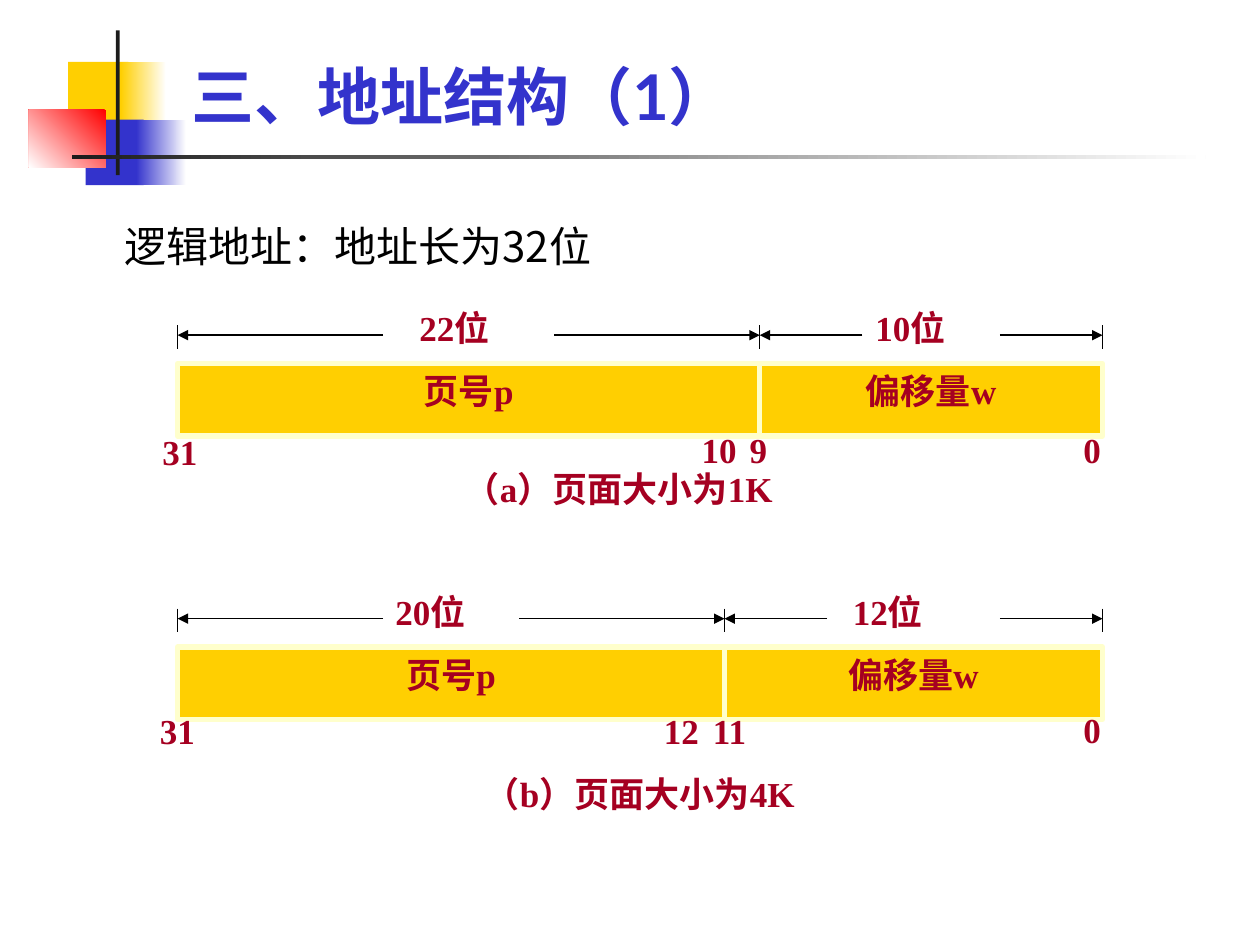
from dataclasses import dataclass

from lxml import etree
from pptx import Presentation
from pptx import util as u
from pptx.dml import color
from pptx.enum import shapes, text
from pptx.oxml import ns

COLUMNS, ROWS = 100, 75
WIDTH, HEIGHT = u.Inches(10), u.Inches(7.5)
BLUE, GOLD, RED, DARK = "3333CC", "FFCF01", "FF0000", "1C1C1C"
WHITE, BLACK, CREAM, CRIMSON = "FFFFFF", "000000", "FFFFCC", "A50021"
SERIF, SANS, CHINESE = "Times New Roman", "Lato", "Noto Sans CJK SC"


@dataclass
class Box:
    """A region of the slide, in grid columns and rows."""
    left: float
    top: float
    width: float
    height: float

    def inner(self, left, top, width, height):
        return Box(self.left + left, self.top + top, width, height)

    def lengths(self):
        return (across(self.left), down(self.top),
                across(self.width), down(self.height))


def across(columns):
    return round(WIDTH * columns / COLUMNS)


def down(rows):
    return round(HEIGHT * rows / ROWS)


def paint(value):
    return color.RGBColor.from_string(value)


def write(frame, words, font=SERIF, size=20, ink=CRIMSON, bold=True,
          align=text.PP_ALIGN.LEFT, anchor=text.MSO_ANCHOR.TOP, wrap=True):
    frame.word_wrap = wrap
    frame.vertical_anchor = anchor
    para = frame.paragraphs[0]
    para.alignment = align
    span = para.add_run()
    span.text = words
    span.font.name, span.font.size, span.font.bold = font, u.Pt(size), bold
    span.font.color.rgb = paint(ink)
    east_asian = etree.SubElement(span.font._element, ns.qn("a:ea"))
    east_asian.set("typeface", CHINESE)


def add_text(pieces, box, words, **style):
    write(pieces.add_textbox(*box.lengths()).text_frame, words, **style)


def add_block(pieces, box, fill, fade_to=None, angle=0, border=None):
    block = pieces.add_shape(shapes.MSO_SHAPE.RECTANGLE, *box.lengths())
    block.shadow.inherit = False
    if fade_to:
        block.fill.gradient()
        block.fill.gradient_angle = angle
        for stop, value, place in zip(block.fill.gradient_stops, (fill, fade_to), (0, 1)):
            stop.color.rgb = paint(value)
            stop.position = place
    else:
        block.fill.solid()
        block.fill.fore_color.rgb = paint(fill)
    if border:
        block.line.color.rgb = paint(border)
        block.line.width = u.Pt(3)
    else:
        block.line.fill.background()
    return block


def add_line(pieces, start, end, arrow=False):
    line = pieces.add_connector(shapes.MSO_CONNECTOR.STRAIGHT,
                                across(start[0]), down(start[1]),
                                across(end[0]), down(end[1]))
    line.line.color.rgb = paint(BLACK)
    line.line.width = u.Pt(0.75)
    if arrow:
        outline = line._element.spPr.find(ns.qn("a:ln"))
        etree.SubElement(outline, ns.qn("a:tailEnd")).set("type", "triangle")
    etree.SubElement(line._element.spPr, ns.qn("a:effectLst"))


def ornament(pieces, box):
    # Overlapping squares, solid on the left and fading to the right
    add_block(pieces, box.inner(3.1, 2.5, 4.8, 5.2), GOLD)
    add_block(pieces, box.inner(7.3, 2.5, 3.6, 5.2), GOLD, WHITE)
    add_block(pieces, box.inner(4.5, 7.1, 4.6, 5.2), BLUE)
    add_block(pieces, box.inner(8.5, 7.1, 4, 5.2), BLUE, WHITE)
    add_block(pieces, box.inner(0, 6.3, 6.1, 4.6), RED, WHITE, 225)
    # Crossing rules
    add_block(pieces, box.inner(6.9, 0, 0.3, 11.5), DARK)
    add_block(pieces, box.inner(3.4, 9.9, 90, 0.35), DARK, WHITE)


def address_diagram(pieces, box, split, fields, bits, caption, caption_at):
    """fields: name, width label and its offset; bits: number and its offset."""
    edges = (0, split, box.width)
    middle = box.top + 0.8

    # Fields with their width labels and dimension arrows
    for index, (name, size, offset) in enumerate(fields):
        start, end = edges[index:index + 2]
        block = add_block(pieces, box.inner(start, 3.05, end - start, 5.75),
                          GOLD, border=CREAM)
        write(block.text_frame, name, align=text.PP_ALIGN.CENTER)
        add_text(pieces, box.inner(start + offset, -1.95, 13.6, 5.8), size)
        arm = (16.3, 8.15)[index]
        for edge, stem in ((start, start + arm), (end, end - arm)):
            add_line(pieces, (box.left + stem, middle),
                     (box.left + edge, middle), arrow=True)

    # Ticks at the field edges
    for edge in edges:
        x = box.left + edge
        add_line(pieces, (x, box.top), (x, box.top + 1.9))

    # Bit numbers and caption
    for number, left, top in bits:
        add_text(pieces, box.inner(left, top, 10.9, 5.8), number)
    add_text(pieces, box.inner(*caption_at, 46.2, 5.8), caption)


def build():
    deck = Presentation()
    deck.slide_width, deck.slide_height = WIDTH, HEIGHT
    page = deck.slides.add_slide(deck.slide_layouts[6])
    pieces = page.shapes

    ornament(pieces, Box(2.3, 2.4, 93.4, 12.3))
    add_text(pieces, Box(14.2, 2.8, 51.6, 8.3), "三、地址结构（1）", font=SANS,
             size=36, ink=BLUE, anchor=text.MSO_ANCHOR.BOTTOM)
    add_text(pieces, Box(8.9, 17, 40.6, 5), "逻辑地址：地址长为32位", font=CHINESE,
             size=24, ink=BLACK, bold=False, wrap=False)

    page_field, offset_field = "页号p", "偏移量w"
    address_diagram(
        pieces.add_group_shape().shapes, Box(14.1, 25.8, 73.4, 16.6), 46.2,
        ((page_field, "22位", 18.2), (offset_field, "10位", 8.2)),
        (("31", -2.2, 7.9), ("10", 40.6, 7.7), ("9", 44.4, 7.7), ("0", 70.9, 7.7)),
        "（a）页面大小为1K", (21.8, 10.8))
    address_diagram(
        pieces.add_group_shape().shapes, Box(14.1, 48.3, 73.4, 18.3), 43.4,
        ((page_field, "20位", 16.3), (offset_field, "12位", 9.2)),
        (("31", -2.4, 7.5), ("12", 37.6, 7.5), ("11", 41.5, 7.5), ("0", 70.9, 7.4)),
        "（b）页面大小为4K", (23.4, 12.5))

    deck.save("out.pptx")


if __name__ == "__main__":
    build()
